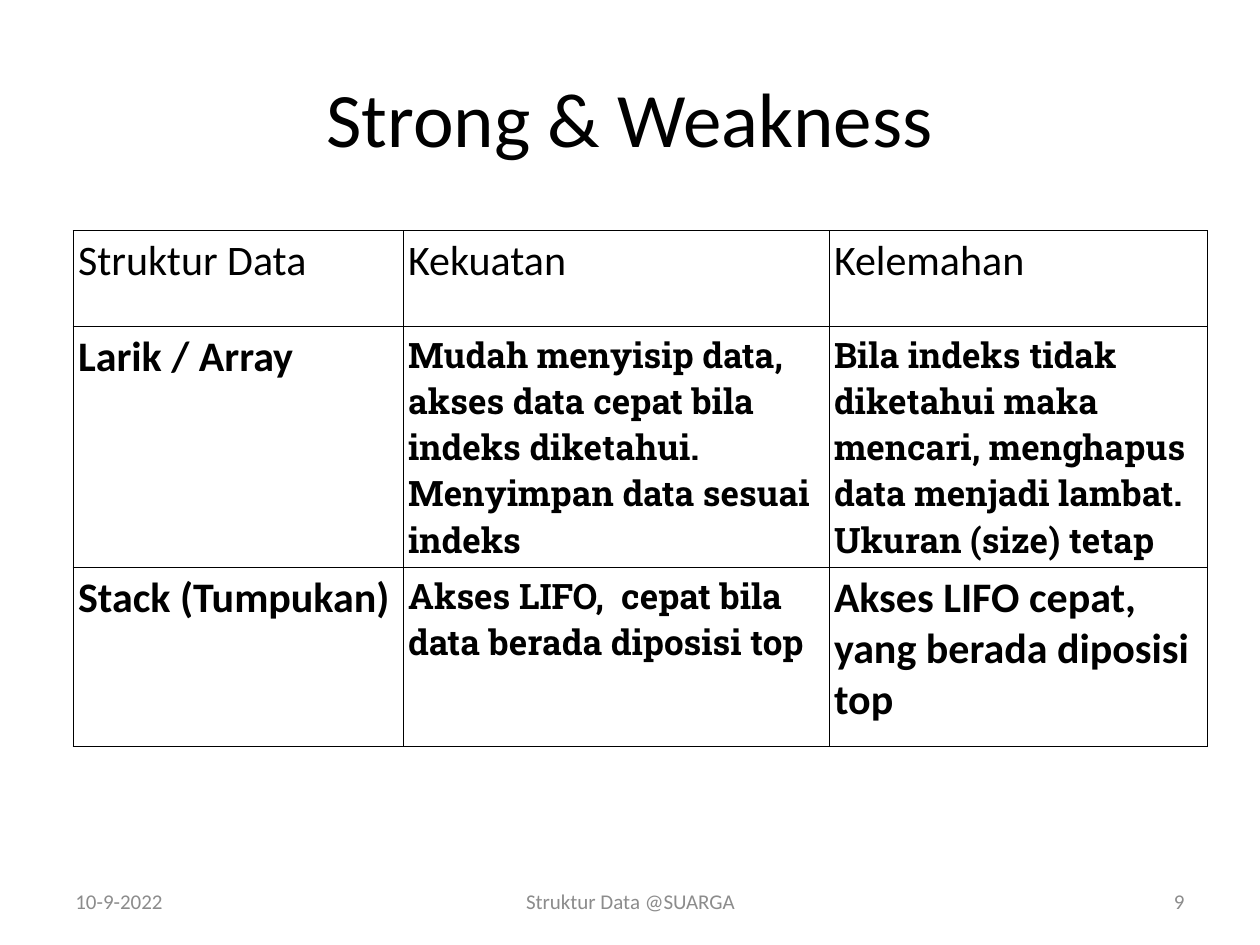
from lxml import etree
from pptx import Presentation
from pptx.dml.color import RGBColor
from pptx.enum import text
from pptx.oxml import ns
from pptx.util import Inches, Pt

BLACK, GREY = "000000", "8C8C8C"
SANS, SLAB = "Calibri", "Roboto Slab"


def style(par, size, font, color, bold=False):
    for run in par.runs:
        run.font.size = Pt(size)
        run.font.name = font
        run.font.bold = bold
        run.font.color.rgb = RGBColor.from_string(color)


def border(cell, color, width):
    props = cell._tc.get_or_add_tcPr()
    for side in ("lnL", "lnR", "lnT", "lnB"):
        line = etree.SubElement(props, ns.qn("a:" + side), w=str(Pt(width)))
        fill = etree.SubElement(line, ns.qn("a:solidFill"))
        etree.SubElement(fill, ns.qn("a:srgbClr"), val=color)


prs = Presentation()
prs.slide_width, prs.slide_height = Inches(10), Inches(7.5)
slide = prs.slides.add_slide(prs.slide_layouts[5])

# Title
title = slide.shapes.title
title.left, title.top = Inches(0.5), Inches(0.3)
title.width, title.height = Inches(9), Inches(1.25)
frame = title.text_frame
frame.text = "Strong & Weakness"
frame.vertical_anchor = text.MSO_ANCHOR.MIDDLE
frame.paragraphs[0].alignment = text.PP_ALIGN.CENTER
style(frame.paragraphs[0], 44, SANS, BLACK)

# Table: each cell is its wording and font
rows = [
    [("Struktur Data", SANS), ("Kekuatan", SANS), ("Kelemahan", SANS)],
    [("Larik / Array", SANS),
     ("Mudah menyisip data, akses data cepat bila indeks diketahui. "
      "Menyimpan data sesuai indeks", SLAB),
     ("Bila indeks tidak diketahui maka mencari, menghapus data menjadi "
      "lambat. Ukuran (size) tetap", SLAB)],
    [("Stack (Tumpukan)", SANS),
     ("Akses LIFO,  cepat bila data berada diposisi top", SLAB),
     ("Akses LIFO cepat, yang berada diposisi top", SANS)],
]
sizes = {SANS: 24, SLAB: 20}
widths, heights = [2.62, 3.38, 3], [0.76, 1.42, 1.42]
table = slide.shapes.add_table(
    len(rows), len(widths), Inches(0.58), Inches(1.83),
    Inches(sum(widths)), Inches(sum(heights))).table
table.first_row = table.horz_banding = False
for col, width in zip(table.columns, widths):
    col.width = Inches(width)
for r, row in enumerate(rows):
    table.rows[r].height = Inches(heights[r])
    for c, (words, font) in enumerate(row):
        cell = table.cell(r, c)
        cell.text_frame.text = words
        cell.margin_left = cell.margin_right = Inches(0.04)
        cell.margin_top = cell.margin_bottom = Inches(0.04)
        style(cell.text_frame.paragraphs[0], sizes[font], font, BLACK, r > 0)
        border(cell, BLACK, 0.5)
        cell.fill.background()

# Footer: date, course and page number
footer = [
    ("10-9-2022", 0.5, 2.33, text.PP_ALIGN.LEFT),
    ("Struktur Data @SUARGA", 3.42, 3.17, text.PP_ALIGN.CENTER),
    ("9", 7.17, 2.33, text.PP_ALIGN.RIGHT),
]
for words, left, width, align in footer:
    box = slide.shapes.add_textbox(
        Inches(left), Inches(6.95), Inches(width), Inches(0.4))
    frame = box.text_frame
    frame.word_wrap = True
    frame.vertical_anchor = text.MSO_ANCHOR.MIDDLE
    frame.text = words
    frame.paragraphs[0].alignment = align
    style(frame.paragraphs[0], 12, SANS, GREY)

prs.save("out.pptx")
